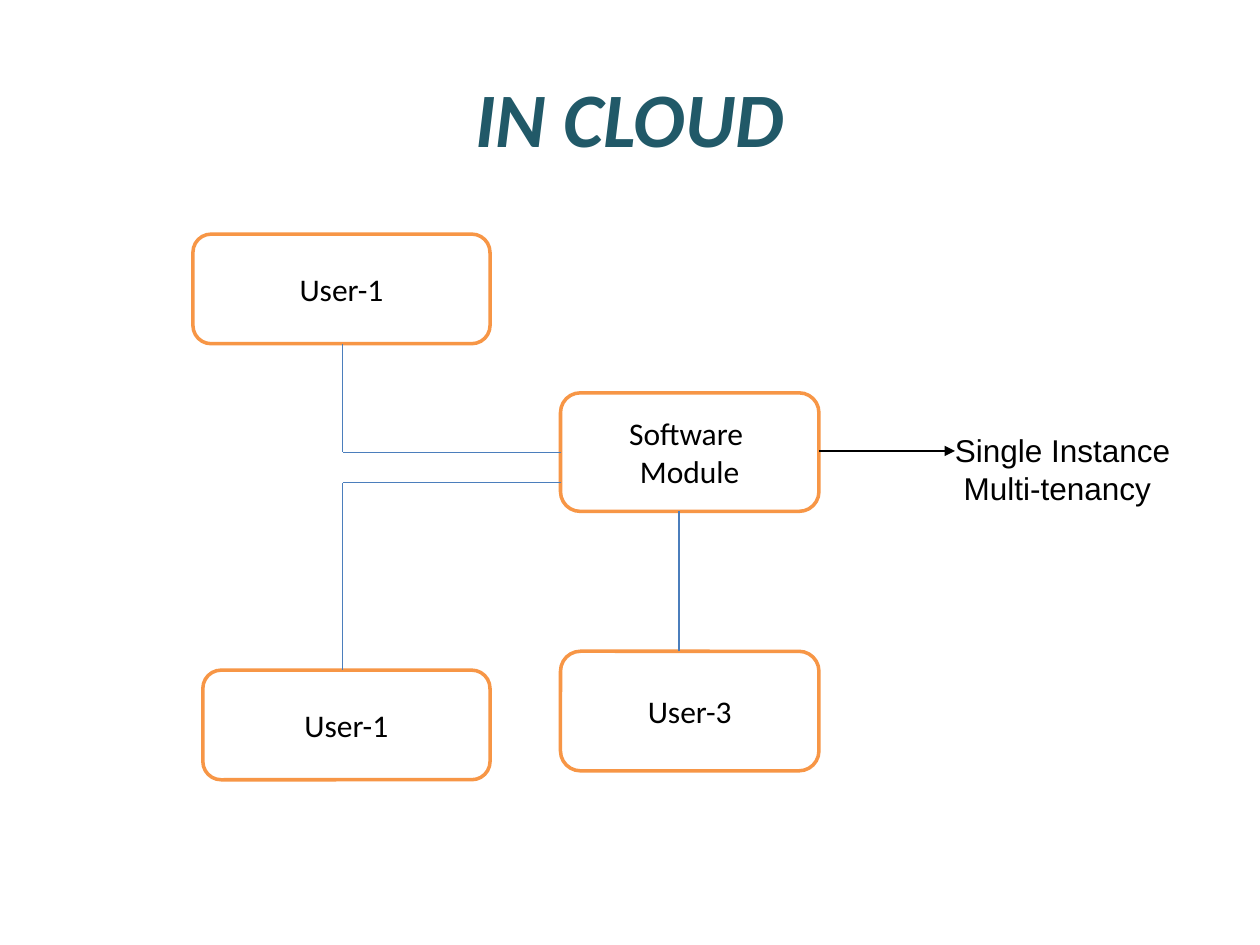
from lxml.etree import SubElement
from pptx import Presentation
from pptx.dml.color import RGBColor
from pptx.enum.shapes import MSO_CONNECTOR, MSO_SHAPE
from pptx.enum.text import MSO_ANCHOR, PP_ALIGN
from pptx.oxml.ns import qn
from pptx.util import Cm, Pt

TEAL = RGBColor(0x21, 0x59, 0x68)
ORANGE = RGBColor(0xF7, 0x96, 0x46)
BLUE = RGBColor(0x4B, 0x7E, 0xBC)
BLACK = RGBColor(0, 0, 0)
WHITE = RGBColor(0xFF, 0xFF, 0xFF)

TITLE_FONT = {"name": "Calibri", "size": Pt(44), "bold": True, "italic": True}
BOX_FONT = {"name": "Calibri", "size": Pt(18)}
NOTE_FONT = {"name": "Arial", "size": Pt(18)}

USER_X = 6.91  # vertical line shared by the two users on the left
MODULE_LEFT, MODULE_RIGHT = 11.3, 16.51
MODULE_X = 13.69
FIRST_Y, SECOND_Y = 9.12, 9.73  # where the left users meet the module

BOXES = [
    (["User-1"], 3.89, 4.72, 5.99, 2.21),
    (["Software ", "Module"], MODULE_LEFT, 7.92, 5.21, 2.39),
    (["User-1"], 4.09, 13.51, 5.79, 2.21),
    (["User-3"], MODULE_LEFT, 13.13, 5.21, 2.41),
]
LINKS = [
    (USER_X, 6.93, USER_X, FIRST_Y),
    (MODULE_LEFT, FIRST_Y, USER_X, FIRST_Y),
    (MODULE_X, 10.31, MODULE_X, 13.13),
    (MODULE_LEFT, SECOND_Y, USER_X, SECOND_Y),
    (USER_X, SECOND_Y, USER_X, 13.51),
]


def write_text(shape, lines, font, color, alignment, anchor=MSO_ANCHOR.MIDDLE):
    frame = shape.text_frame
    frame.word_wrap = True
    frame.vertical_anchor = anchor
    for index, line in enumerate(lines):
        paragraph = frame.add_paragraph() if index else frame.paragraphs[0]
        paragraph.alignment = alignment
        run = paragraph.add_run()
        run.text = line
        for name, value in font.items():
            setattr(run.font, name, value)
        run.font.color.rgb = color


def add_text(slide, lines, position, *text_format):
    shape = slide.shapes.add_textbox(*map(Cm, position))
    write_text(shape, lines, *text_format)


def add_box(slide, lines, *position):
    shape = slide.shapes.add_shape(MSO_SHAPE.ROUNDED_RECTANGLE, *map(Cm, position))
    shape.shadow.inherit = False
    shape.fill.solid()
    shape.fill.fore_color.rgb = WHITE
    shape.line.color.rgb = ORANGE
    shape.line.width = Pt(2)
    write_text(shape, lines, BOX_FONT, BLACK, PP_ALIGN.CENTER)


def add_line(slide, ends, color, arrow=False):
    connector = slide.shapes.add_connector(MSO_CONNECTOR.STRAIGHT, *map(Cm, ends))
    connector.line.color.rgb = color
    connector.line.width = Pt(0.75)
    properties = connector._element.spPr
    if arrow:
        SubElement(properties.find(qn("a:ln")), qn("a:tailEnd"), type="triangle")
    SubElement(properties, qn("a:effectLst"))


def main():
    presentation = Presentation()
    presentation.slide_width = Cm(25.4)
    presentation.slide_height = Cm(19.05)
    slide = presentation.slides.add_slide(presentation.slide_layouts[6])

    add_text(slide, ["IN CLOUD"], (1.27, 0.76, 22.86, 3.18),
             TITLE_FONT, TEAL, PP_ALIGN.CENTER)
    for lines, *position in BOXES:
        add_box(slide, lines, *position)
    for ends in LINKS:
        add_line(slide, ends, BLUE)
    add_line(slide, (MODULE_RIGHT, 9.09, 19.25, 9.09), BLACK, arrow=True)
    add_text(slide, ["Single Instance", " Multi-tenancy"], (19, 8.56, 8.59, 1.78),
             NOTE_FONT, BLACK, PP_ALIGN.LEFT, MSO_ANCHOR.TOP)

    presentation.save("out.pptx")


if __name__ == "__main__":
    main()
